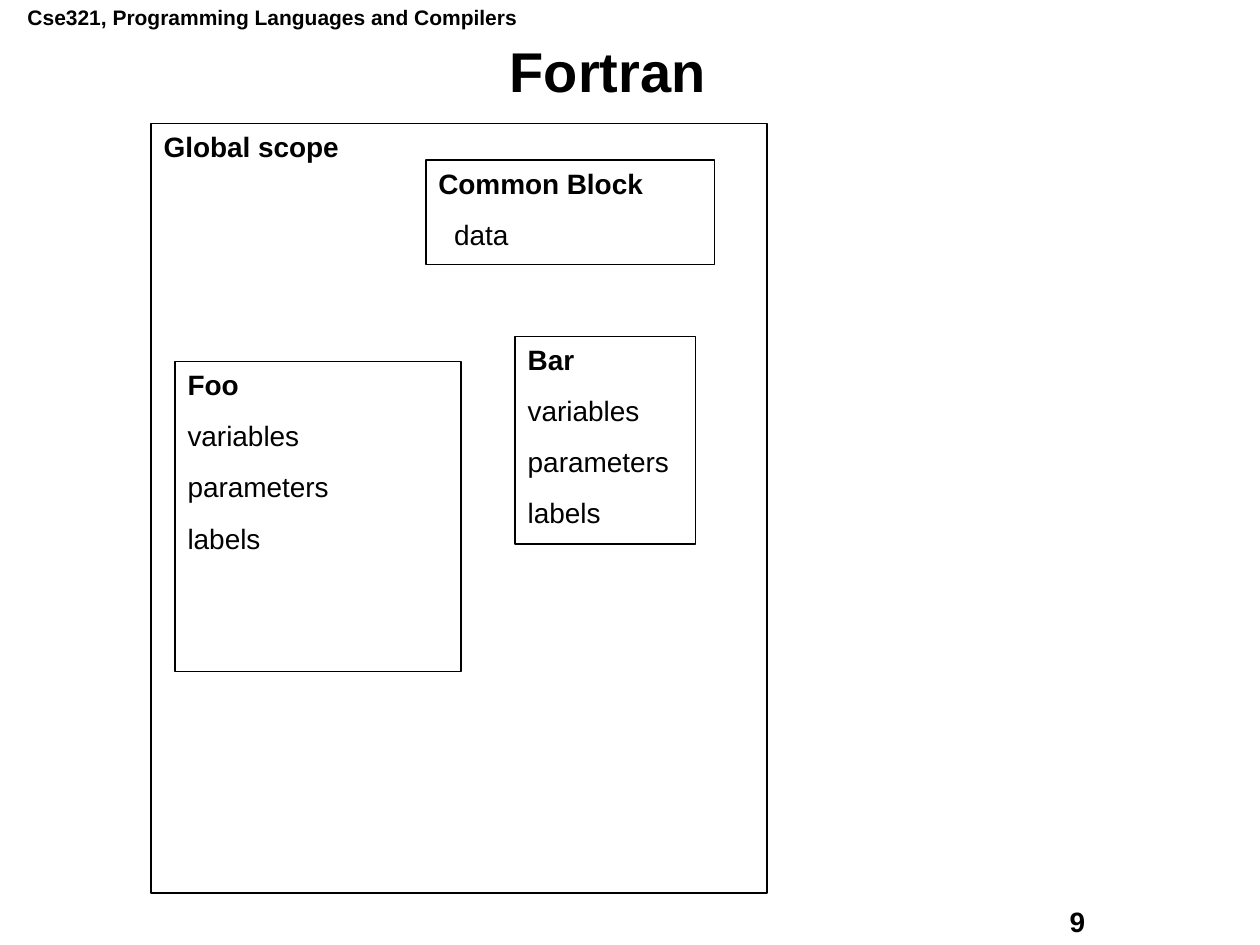
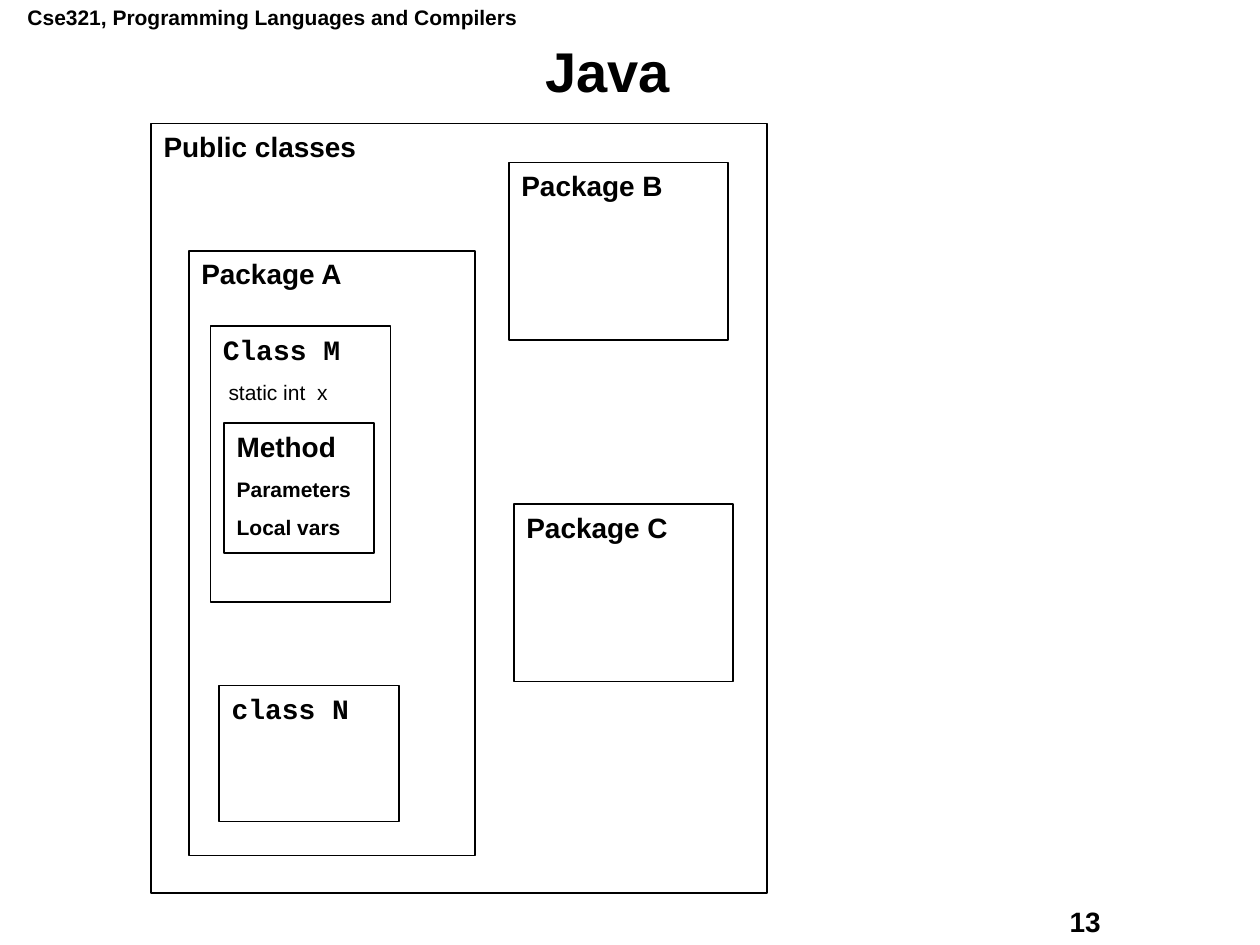
from collections import namedtuple

from pptx import Presentation
from pptx.dml.color import RGBColor
from pptx.enum.shapes import MSO_SHAPE
from pptx.enum.text import MSO_ANCHOR, MSO_AUTO_SIZE, PP_ALIGN
from pptx.util import Inches, Pt

# Grid of 100 columns by 75 rows; every box is (column, row, columns, rows)
COLUMNS, ROWS = 100, 75
WIDTH, HEIGHT = Inches(10), Inches(7.5)
Area = namedtuple("Area", "left top width height")

INK = "000000"
SANS, MONO = "Arial", "Courier New"
HEADING, DETAIL, SMALL = 16, 16, 12
COURSE = "Cse321, Programming Languages and Compilers"

HEADER = Area(1.2, -0.1, 42, 3)
TITLE = Area(3.1, 3.1, 90.3, 5.6)
NUMBER = Area(83.9, 71.3, 12.7, 3.6)
OUTER = Area(12, 9.8, 48.9, 61.1)


def color(hex_code):
    return RGBColor.from_string(hex_code)


def emu(area):
    """Turn grid units into slide lengths."""
    across, down = WIDTH / COLUMNS, HEIGHT / ROWS
    return [round(value * unit) for value, unit in zip(area, (across, down) * 2)]


def inside(parent, left, top, width, height):
    """Area of a box whose corner is measured from its parent's corner."""
    return Area(parent.left + left, parent.top + top, width, height)


def write(frame, text, size=HEADING, font=SANS, bold=True, align=PP_ALIGN.LEFT,
          anchor=MSO_ANCHOR.TOP, spacing=None, indent=0):
    """Add one paragraph; later paragraphs get space in proportion to size."""
    frame.word_wrap = True
    frame.auto_size = MSO_AUTO_SIZE.NONE
    frame.vertical_anchor = anchor
    first = not frame.text
    paragraph = frame.paragraphs[0] if first else frame.add_paragraph()
    paragraph.alignment = align
    paragraph.space_before = Pt(0 if first else size * 0.625)
    if spacing:
        paragraph.line_spacing = spacing
    if indent:
        paragraph._p.get_or_add_pPr().set("marL", str(Pt(indent)))
    run = paragraph.add_run()
    run.text = text
    run.font.name = font
    run.font.size = Pt(size)
    run.font.bold = bold
    run.font.color.rgb = color(INK)


def add_scope(slide, area, heading, details=(), font=SANS, **detail_format):
    """Outlined box with a bold heading and detail lines; returns its area."""
    box = slide.shapes.add_shape(MSO_SHAPE.RECTANGLE, *emu(area))
    box.shadow.inherit = False
    box.fill.background()
    box.line.color.rgb = color(INK)
    box.line.width = Pt(1)
    write(box.text_frame, heading, font=font)
    for detail in details:
        write(box.text_frame, detail, **{"size": DETAIL, "bold": False, **detail_format})
    return area


def add_label(slide, area, text, **text_format):
    label = slide.shapes.add_textbox(*emu(area))
    write(label.text_frame, text, **text_format)


def add_page(deck, title, number):
    """Slide with the shared header, title and page number."""
    slide = deck.slides.add_slide(deck.slide_layouts[5])
    heading = slide.shapes.title
    heading.left, heading.top, heading.width, heading.height = emu(TITLE)
    write(heading.text_frame, title, size=32, align=PP_ALIGN.CENTER,
          anchor=MSO_ANCHOR.MIDDLE, spacing=0.9)
    add_label(slide, HEADER, COURSE, size=SMALL)
    add_label(slide, NUMBER, number)
    return slide


def fortran_scopes(slide, area):
    scope = add_scope(slide, area, "Global scope")

    # Shared data
    add_scope(slide, inside(scope, 21.8, 2.9, 22.9, 8.3), "Common Block",
              ["data"], indent=9)

    # Subprograms
    members = ["variables", "parameters", "labels"]
    add_scope(slide, inside(scope, 1.9, 18.9, 22.7, 24.6), "Foo", members)
    add_scope(slide, inside(scope, 28.9, 16.9, 14.3, 16.5), "Bar", members)


def java_scopes(slide, area):
    scope = add_scope(slide, area, "Public classes")

    # Package A with its classes
    package = add_scope(slide, inside(scope, 3, 10.1, 22.7, 48), "Package A")
    class_m = add_scope(slide, inside(package, 1.7, 6, 14.3, 21.9), "Class M",
                        ["static int  x"], font=MONO, size=SMALL, indent=3.3)
    add_scope(slide, inside(class_m, 1.1, 7.7, 11.9, 10.3), "Method",
              ["Parameters", "Local vars"], size=SMALL, bold=True)
    add_scope(slide, inside(package, 2.4, 34.5, 14.3, 10.8), "class N", font=MONO)

    # Sibling packages
    for name, left, top in (("Package B", 28.4, 3.1), ("Package C", 28.8, 30.2)):
        add_scope(slide, inside(scope, left, top, 17.4, 14.1), name)


def main():
    deck = Presentation()
    deck.slide_width, deck.slide_height = WIDTH, HEIGHT
    fortran_scopes(add_page(deck, "Fortran", "9"), OUTER)
    java_scopes(add_page(deck, "Java", "13"), OUTER)
    deck.save("out.pptx")


if __name__ == "__main__":
    main()
